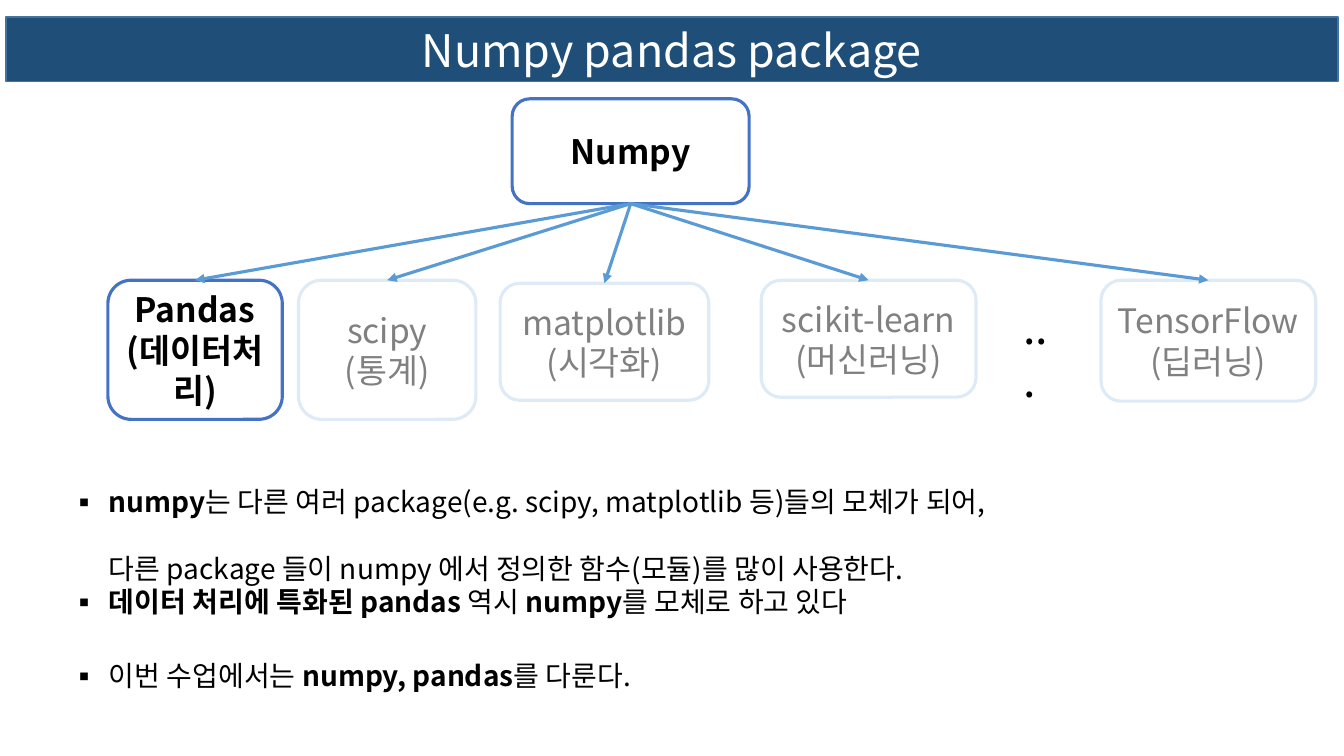
from pptx import Presentation
from pptx import util as u
from pptx.dml.color import RGBColor
from pptx.enum import shapes, text
from pptx.oxml import parse_xml
from pptx.oxml.ns import nsdecls, qn

FONT = "Noto Sans CJK KR"
HUES = {
    "bar": "1F4E79", "rim": "43739E", "main": "4472C4", "pale": "DEEBF7",
    "arrow": "5B9BD5", "ink": "000000", "dim": "808080", "white": "FFFFFF",
}
PACKS = [
    ("Pandas\n(데이터처리)", (0, 56.6, 14.44, 43.4), True),
    ("scipy\n(통계)", (15.78, 56.6, 14.69, 43.4), False),
    ("matplotlib\n(시각화)", (32.47, 57.55, 17.28, 36.48), False),
    ("scikit-learn\n(머신러닝)", (54.09, 56.6, 17.78, 36.48), False),
    ("TensorFlow\n(딥러닝)", (82.22, 56.6, 17.78, 37.74), False),
]
NOTES = [
    ([("numpy", True),
      ("는 다른 여러 package(e.g. scipy, matplotlib 등)들의 모체가 되어,"
       "\n다른 package 들이 numpy 에서 정의한 함수(모듈)를 많이 사용한다.", False)],
     u.Pt(48), 0),
    ([("데이터 처리에 특화된 pandas ", True), ("역시 ", False),
      ("numpy", True), ("를 모체로 하고 있다", False)], 1.0, 0),
    ([("이번 수업에서는 ", False), ("numpy, pandas", True),
      ("를 다룬다.", False)], 1.0, 28.5),
]


def hue(name):
    return RGBColor.from_string(HUES[name])


def part(box, share):
    left, top, wide, high = box
    x, y, w, h = (n / 100 for n in share)
    return [round(n) for n in (left + x * wide, top + y * high, w * wide, h * high)]


def place(shape, box):
    shape.left, shape.top, shape.width, shape.height = box


def paint(shape, fill, line, width):
    shape.fill.solid()
    shape.fill.fore_color.rgb = hue(fill)
    shape.line.color.rgb = hue(line)
    shape.line.width = u.Pt(width)


def style(run, size, color, bold=False):
    font = run.font
    font.name, font.size, font.bold = FONT, u.Pt(size), bold
    font.color.rgb = hue(color)
    font.fill
    east = parse_xml(f'<a:ea {nsdecls("a")} typeface="{FONT}"/>')
    run.font._element.find(qn("a:latin")).addnext(east)


def write(shape, words, size, color, bold=False, align=text.PP_ALIGN.CENTER):
    frame = shape.text_frame
    frame.text = words
    frame.word_wrap = True
    for para in frame.paragraphs:
        para.alignment = align
        for run in para.runs:
            style(run, size, color, bold)


def draw_title(slide, box):
    title = slide.shapes.title
    place(title, box)
    title.element.spPr.append(parse_xml(
        f'<a:prstGeom {nsdecls("a")} prst="roundRect"><a:avLst/></a:prstGeom>'))
    paint(title, "bar", "rim", 1)
    write(title, "Numpy pandas package", 32, "white")
    title.text_frame.auto_size = text.MSO_AUTO_SIZE.NONE
    title.text_frame.vertical_anchor = text.MSO_ANCHOR.MIDDLE


def draw_node(slide, box, words, main):
    node = slide.shapes.add_shape(shapes.MSO_SHAPE.ROUNDED_RECTANGLE, *box)
    node.shadow.inherit = False
    paint(node, "white", "main" if main else "pale", 2.25)
    write(node, words, 24, "ink" if main else "dim", main)
    node.text_frame.vertical_anchor = text.MSO_ANCHOR.MIDDLE
    return node


def draw_arrow(slide, start, end):
    arrow = slide.shapes.add_connector(shapes.MSO_CONNECTOR.STRAIGHT, 0, 0, 0, 0)
    arrow.begin_connect(start, 2)
    arrow.end_connect(end, 0)
    arrow.line.color.rgb = hue("arrow")
    arrow.line.width = u.Pt(2.25)
    arrow.line._get_or_add_ln().append(
        parse_xml(f'<a:tailEnd {nsdecls("a")} type="triangle"/>'))
    arrow._element.spPr.append(parse_xml(f'<a:effectLst {nsdecls("a")}/>'))


def draw_tree(slide, box):
    root = draw_node(slide, part(box, (33.47, 0, 19.62, 32.7)), "Numpy", True)
    nodes = [draw_node(slide, part(box, share), words, main)
             for words, share, main in PACKS]
    for node in nodes:
        draw_arrow(slide, root, node)
    dots = slide.shapes.add_textbox(*part(box, (74.96, 61.01, 4.17, 20.13)))
    write(dots, "...", 32, "ink", align=text.PP_ALIGN.LEFT)


def draw_notes(slide, box):
    body = slide.placeholders[1]
    place(body, box)
    frame = body.text_frame
    frame.auto_size = text.MSO_AUTO_SIZE.NONE
    frame.vertical_anchor = text.MSO_ANCHOR.TOP
    for index, (runs, pitch, gap) in enumerate(NOTES):
        para = frame.add_paragraph() if index else frame.paragraphs[0]
        para.line_spacing = pitch
        para.space_before, para.space_after = u.Pt(gap), u.Pt(0)
        props = para._p.get_or_add_pPr()
        props.set("marL", str(u.Inches(0.38)))
        props.set("indent", str(-u.Inches(0.38)))
        props.append(parse_xml(f'<a:buFont {nsdecls("a")} typeface="{FONT}"/>'))
        props.append(parse_xml(f'<a:buChar {nsdecls("a")} char="▪"/>'))
        for words, bold in runs:
            for row, line in enumerate(words.split("\n")):
                if row:
                    para.add_line_break()
                run = para.add_run()
                run.text = line
                style(run, 20, "ink", bold)


def main():
    deck = Presentation()
    deck.slide_width, deck.slide_height = u.Inches(13.33), u.Inches(7.5)
    page = (0, 0, deck.slide_width, deck.slide_height)
    slide = deck.slides.add_slide(deck.slide_layouts[1])
    draw_title(slide, part(page, (0.45, 2.27, 99.1, 8.53)))
    draw_tree(slide, part(page, (8.03, 13.07, 89.87, 42.4)))
    draw_notes(slide, part(page, (4.5, 58.93, 90, 36)))
    deck.save("out.pptx")


if __name__ == "__main__":
    main()
